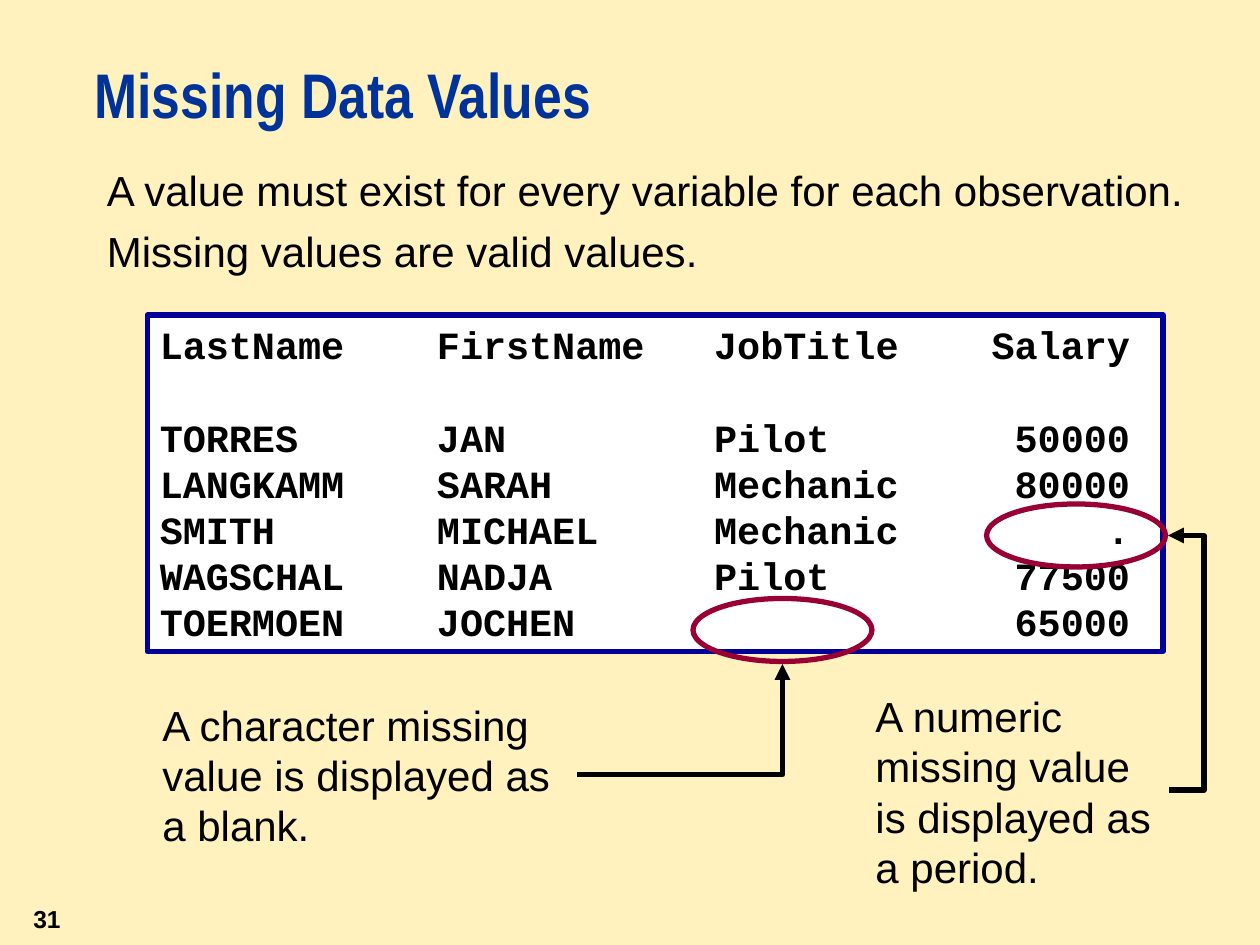
from pptx import Presentation
from pptx import util as u
from pptx.dml.color import RGBColor
from pptx.enum import shapes, text
from pptx.oxml import parse_xml
from pptx.oxml.ns import nsdecls, qn
from lxml import etree

ROWS = [
    ("LastName", "FirstName", "JobTitle", "Salary"),
    ("TORRES", "JAN", "Pilot", "50000"),
    ("LANGKAMM", "SARAH", "Mechanic", "80000"),
    ("SMITH", "MICHAEL", "Mechanic", "."),
    ("WAGSCHAL", "NADJA", "Pilot", "77500"),
    ("TOERMOEN", "JOCHEN", "", "65000"),
]
STOPS = [(2.2, "l"), (4.4, "l"), (7.7, "r")]


def color(code):
    return RGBColor.from_string(code)


def place(item, box):
    item.left, item.top, item.width, item.height = [u.Inches(n) for n in box]


def write(para, words, size, font="Arial", bold=False, ink="000000", pitch=None):
    para.line_spacing = u.Pt(pitch or size * 1.2)
    run = para.add_run()
    run.text = words
    run.font.size = u.Pt(size)
    run.font.name = font
    run.font.bold = bold
    run.font.color.rgb = color(ink)


def add_title(slide, words):
    title = slide.shapes.title
    place(title, (0.75, 0.5, 8.58, 0.75))
    frame = title.text_frame
    frame.margin_left = frame.margin_right = 0
    frame.margin_top = frame.margin_bottom = 0
    frame.vertical_anchor = text.MSO_ANCHOR.TOP
    frame.auto_size = text.MSO_AUTO_SIZE.NONE
    para = frame.paragraphs[0]
    para.alignment = text.PP_ALIGN.LEFT
    write(para, words, 36, "Arial Narrow", True, "003399", 39)


def add_note(slide, box, lines):
    note = slide.shapes.add_textbox(*[u.Inches(n) for n in box])
    frame = note.text_frame
    frame.word_wrap = True
    for i, line in enumerate(lines):
        para = frame.add_paragraph() if i else frame.paragraphs[0]
        para.space_before = u.Pt(6)
        write(para, line, 24)


def add_page(slide, number):
    page = slide.shapes.add_textbox(0, u.Inches(7.08), u.Inches(0.58), u.Inches(0.42))
    frame = page.text_frame
    frame.word_wrap = False
    frame.vertical_anchor = text.MSO_ANCHOR.MIDDLE
    para = frame.paragraphs[0]
    para.alignment = text.PP_ALIGN.RIGHT
    write(para, number, 14, bold=True)


def add_shape(slide, kind, box, line, fill=None):
    shape = slide.shapes.add_shape(kind, *[u.Inches(n) for n in box])
    shape.shadow.inherit = False
    if fill:
        shape.fill.solid()
        shape.fill.fore_color.rgb = color(fill)
    else:
        shape.fill.background()
    shape.line.color.rgb = color(line)
    shape.line.width = u.Pt(3)
    return shape


def set_tabs(para):
    tabs = etree.SubElement(para._p.get_or_add_pPr(), qn("a:tabLst"))
    for spot, side in STOPS:
        etree.SubElement(tabs, qn("a:tab"), pos=str(u.Inches(spot)), algn=side)


def add_listing(slide):
    kind = shapes.MSO_SHAPE.RECTANGLE
    panel = add_shape(slide, kind, (1.17, 2.5, 8.06, 2.67), "000099", "FFFFFF")
    frame = panel.text_frame
    frame.word_wrap = True
    frame.vertical_anchor = text.MSO_ANCHOR.TOP
    for i, row in enumerate(ROWS):
        para = frame.add_paragraph() if i else frame.paragraphs[0]
        para.alignment = text.PP_ALIGN.LEFT
        if i == 1:
            para.space_before = u.Pt(26.4)
        write(para, "\t".join(row), 22, "Courier New", True)
        set_tabs(para)


def add_arrow(slide, start, end, bend, adj=None):
    ends = [u.Inches(n) for n in start + end]
    arrow = slide.shapes.add_connector(shapes.MSO_CONNECTOR.ELBOW, *ends)
    arrow.line.color.rgb = color("000000")
    arrow.line.width = u.Pt(3)
    props = arrow._element.spPr
    etree.SubElement(props.find(qn("a:ln")), qn("a:tailEnd"), type="triangle")
    props.append(parse_xml(f"<a:effectLst {nsdecls('a')}/>"))
    geom = props.find(qn("a:prstGeom"))
    geom.set("prst", bend)
    if adj:
        guides = geom.find(qn("a:avLst"))
        etree.SubElement(guides, qn("a:gd"), name="adj1", fmla=f"val {adj}")


def main():
    deck = Presentation()
    deck.slide_width, deck.slide_height = u.Inches(10), u.Inches(7.5)
    slide = deck.slides.add_slide(deck.slide_layouts[5])
    slide.background.fill.solid()
    slide.background.fill.fore_color.rgb = color("FFF2BE")

    add_title(slide, "Missing Data Values")
    add_page(slide, "31")
    add_listing(slide)
    add_note(slide, (0.75, 1.26, 8.82, 1.5), [
        "A value must exist for every variable for each observation.",
        "Missing values are valid values.",
    ])
    add_note(slide, (6.85, 5.43, 2.43, 1.7),
             ["A numeric missing value is displayed as a period."])
    add_note(slide, (1.19, 5.5, 3.39, 1.3),
             ["A character missing value is displayed as a blank."])
    for left, top in [(5.5, 4.75), (7.83, 4)]:
        add_shape(slide, shapes.MSO_SHAPE.OVAL, (left, top, 1.42, 0.5), "990033")
    add_arrow(slide, (4.58, 6.15), (6.21, 5.27), "bentConnector2")
    add_arrow(slide, (9.28, 6.27), (9.27, 4.25), "bentConnector3", -2800000)
    deck.save("out.pptx")


if __name__ == "__main__":
    main()
